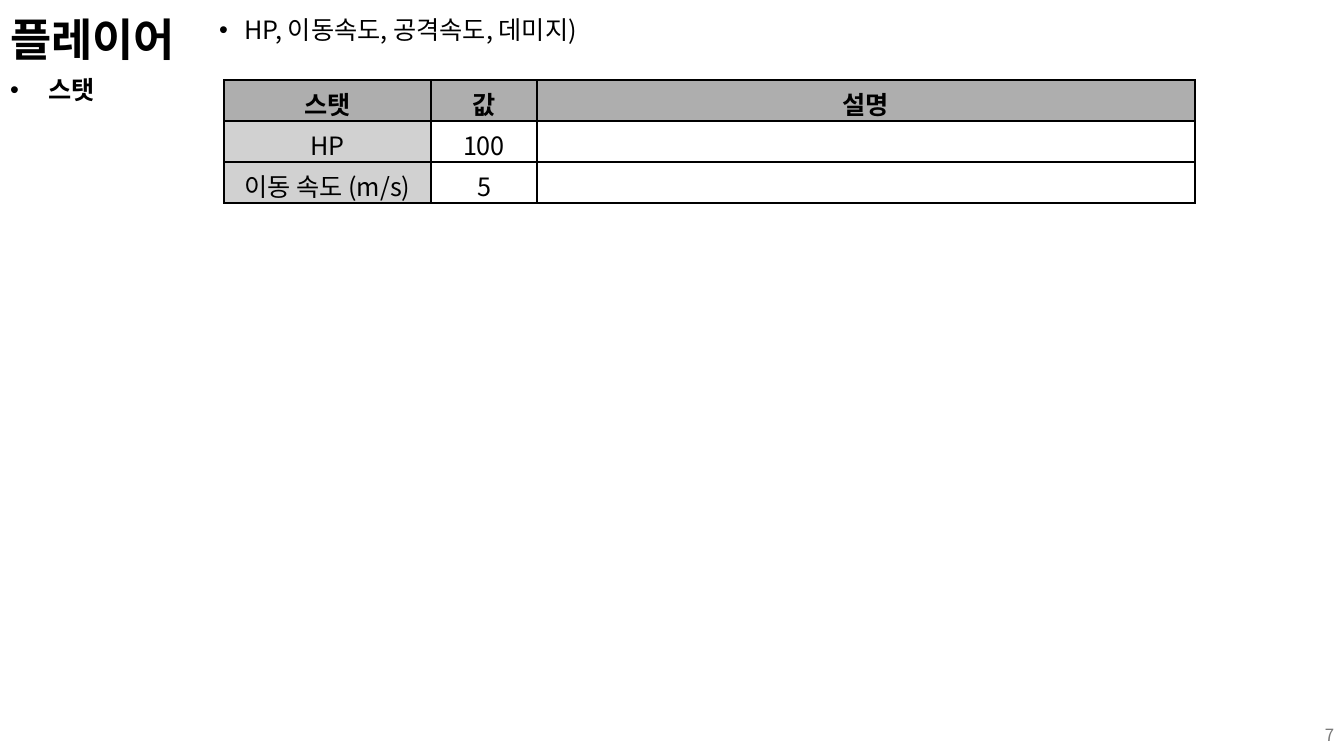
from lxml.etree import SubElement
from pptx import Presentation
from pptx.dml.color import RGBColor
from pptx.enum.text import MSO_ANCHOR, MSO_AUTO_SIZE, PP_ALIGN
from pptx.oxml.ns import qn
from pptx.util import Pt

PX = 914400 / 100.8
THEME = {
    "font": "Noto Sans CJK KR",
    "ink": "000000", "page": "797979",
    "head": "AEAEAE", "label": "D1D1D1", "plain": "FFFFFF",
    "title": 32, "text": 18, "small": 12,
}


def px(value):
    return round(value * PX)


def write(frame, text, size="text", color="ink", bold=False,
          align=PP_ALIGN.LEFT, spacing=1.0, indent=0):
    paragraph = frame.paragraphs[0]
    paragraph.alignment = align
    paragraph.line_spacing = spacing
    paragraph.space_before = Pt(0)
    if indent:
        props = paragraph._p.get_or_add_pPr()
        props.set("marL", str(px(indent)))
        props.set("indent", str(-px(indent)))
        SubElement(props, qn("a:buFont"), typeface="Arial")
        SubElement(props, qn("a:buChar"), char="•")
    run = paragraph.add_run()
    run.text = text
    run.font.size = Pt(THEME[size])
    run.font.bold = bold
    run.font.color.rgb = RGBColor.from_string(THEME[color])
    run.font.name = THEME["font"]
    SubElement(run._r.get_or_add_rPr(), qn("a:ea"), typeface=THEME["font"])


deck = Presentation()
deck.slide_width, deck.slide_height = px(1344), px(756)
slide = deck.slides.add_slide(deck.slide_layouts[3])

# Title, section name and summary
title, section, summary = slide.placeholders
for part, box in ((title, (0, 13, 209, 59)),
                  (section, (0, 73, 176, 259)),
                  (summary, (209, 13, 1115, 679))):
    part.left, part.top, part.width, part.height = map(px, box)
    part.text_frame.vertical_anchor = MSO_ANCHOR.TOP
    part.text_frame.auto_size = MSO_AUTO_SIZE.NONE
    part.text_frame.word_wrap = True
title.text_frame.auto_size = MSO_AUTO_SIZE.SHAPE_TO_FIT_TEXT
write(title.text_frame, "플레이어", size="title", bold=True, spacing=0.9)
write(section.text_frame, "스탯", bold=True, spacing=0.9, indent=38)
write(summary.text_frame, "HP, 이동속도, 공격속도, 데미지)", spacing=0.9, indent=25)

# Page number
page = slide.shapes.add_textbox(px(1041), px(715), px(303), px(40)).text_frame
page.word_wrap = True
page.vertical_anchor = MSO_ANCHOR.MIDDLE
write(page, "7", size="small", color="page", align=PP_ALIGN.RIGHT)

# Stat table
stats = [("스탯", "값", "설명"), ("HP", "100", ""), ("이동 속도 (m/s)", "5", "")]
widths, row_height = (207, 106, 658), 41
grid = slide.shapes.add_table(len(stats), len(widths), px(224), px(80),
                              px(sum(widths)), px(row_height * len(stats))).table
for column, width in zip(grid.columns, widths):
    column.width = px(width)
for r, stat in enumerate(stats):
    grid.rows[r].height = px(row_height)
    for c, text in enumerate(stat):
        cell = grid.cell(r, c)
        cell.vertical_anchor = MSO_ANCHOR.MIDDLE
        props = cell._tc.get_or_add_tcPr()
        for side in ("a:lnL", "a:lnR", "a:lnT", "a:lnB"):
            edge = SubElement(props, qn(side), w=str(Pt(1)))
            SubElement(SubElement(edge, qn("a:solidFill")), qn("a:srgbClr"),
                       val=THEME["ink"])
        fill = "head" if r == 0 else "label" if c == 0 else "plain"
        cell.fill.solid()
        cell.fill.fore_color.rgb = RGBColor.from_string(THEME[fill])
        if text:
            write(cell.text_frame, text, bold=r == 0, align=PP_ALIGN.CENTER)

deck.save("out.pptx")
